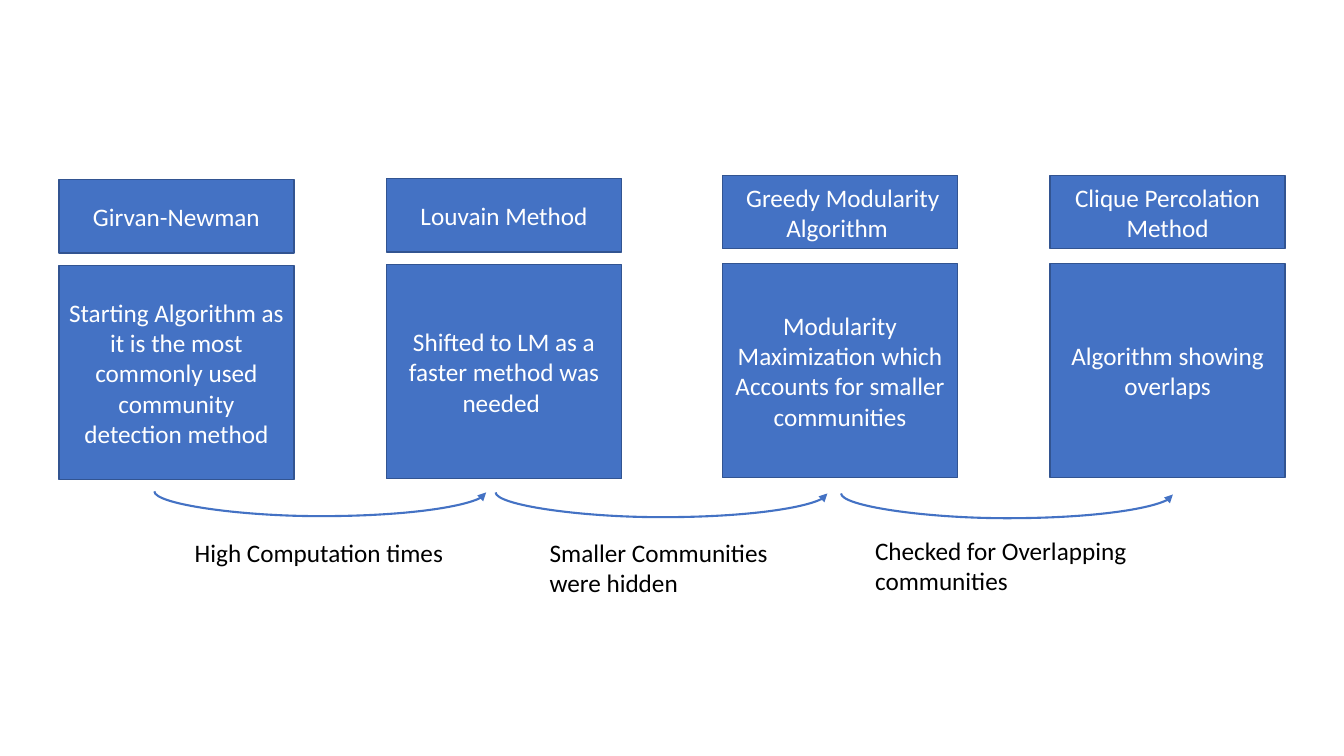
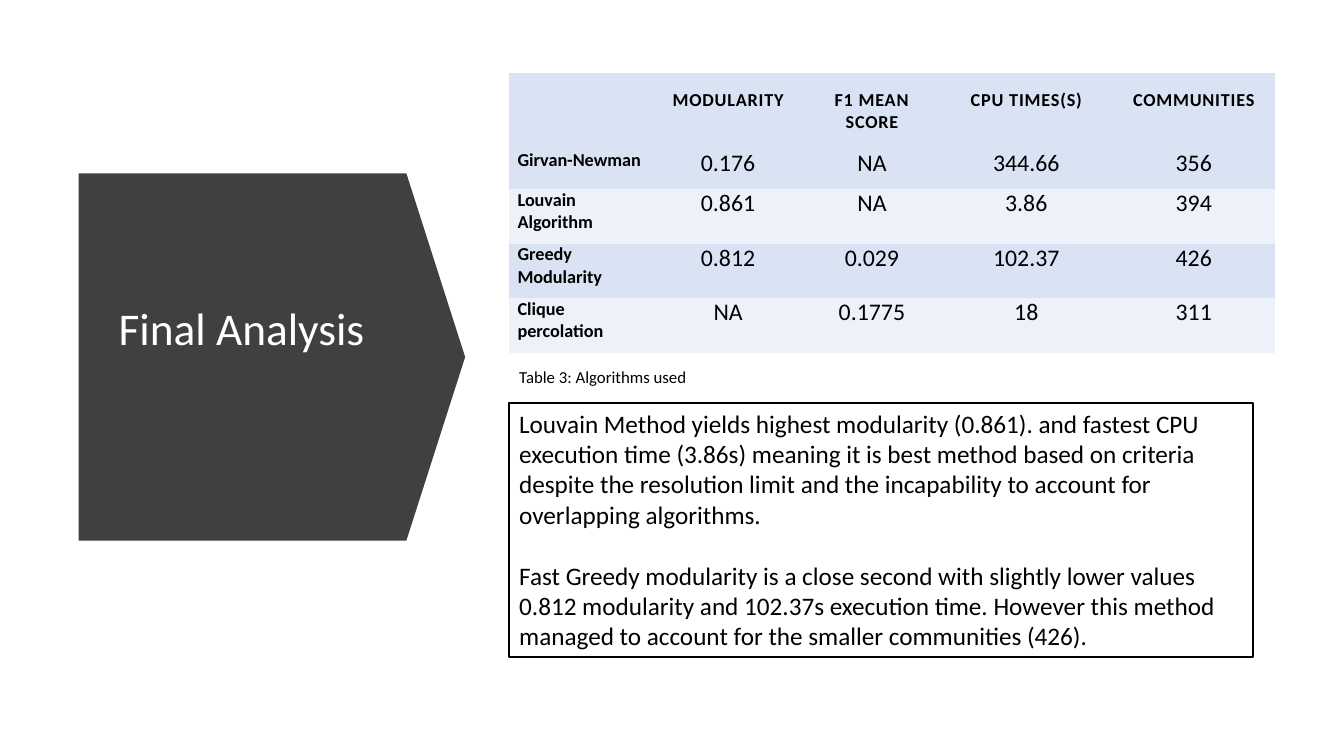
from dataclasses import dataclass

from lxml.etree import SubElement
from pptx import Presentation
from pptx.dml.color import RGBColor
from pptx.enum.shapes import MSO_CONNECTOR, MSO_SHAPE
from pptx.enum.text import MSO_ANCHOR as Anchor, PP_ALIGN as Align
from pptx.oxml.ns import qn
from pptx.util import Emu, Pt

# Shared look
FONT = "Calibri"
WHITE, BLACK, CHARCOAL = "FFFFFF", "000000", "404040"
BLUE, BLUE_EDGE = "4472C4", "325491"
BAND, PALE_BAND = "DAE3F3", "EDF1F9"
NO_TABLE_STYLE = "{2D5ABB26-0587-4C30-8999-92F81FD0307C}"
BODY_SIZE = 18


@dataclass
class Box:
    left: int
    top: int
    width: int
    height: int

    def emu(self) -> list[Emu]:
        return [px(v) for v in (self.left, self.top, self.width, self.height)]


@dataclass
class TextStyle:
    size: float = BODY_SIZE
    color: str = BLACK
    align: Align = Align.LEFT
    anchor: Anchor = Anchor.TOP
    bold: bool = False
    wrap: bool = True
    line_spacing: float = 1.0
    gap: int = 0


@dataclass
class Method:
    left: int
    name_top: int
    role_top: int
    name: str
    role: str


@dataclass
class Step:
    start: tuple[int, int]
    label: Box
    lines: list[str]


def px(value: int) -> Emu:
    return Emu(value * 9525)


def rgb(color: str) -> RGBColor:
    return RGBColor.from_string(color)


def write(frame, lines: list[str], style: TextStyle) -> None:
    frame.word_wrap = style.wrap
    frame.vertical_anchor = style.anchor
    for i, line in enumerate(lines):
        paragraph = frame.add_paragraph() if i else frame.paragraphs[0]
        paragraph.text = line
        paragraph.alignment = style.align
        paragraph.line_spacing = style.line_spacing
        paragraph.space_before = Pt(style.gap if i else 0)
        font = paragraph.font
        font.name, font.size, font.bold = FONT, Pt(style.size), style.bold
        font.color.rgb = rgb(style.color)


def add_text(slide, box: Box, lines: list[str], style: TextStyle) -> None:
    write(slide.shapes.add_textbox(*box.emu()).text_frame, lines, style)


def add_block(slide, box: Box, fill: str = "", edge: str = "",
              edge_width: float = 1, kind=MSO_SHAPE.RECTANGLE):
    block = slide.shapes.add_shape(kind, *box.emu())
    block.shadow.inherit = False
    if fill:
        block.fill.solid()
        block.fill.fore_color.rgb = rgb(fill)
    else:
        block.fill.background()
    if edge:
        block.line.color.rgb = rgb(edge)
        block.line.width = Pt(edge_width)
    else:
        block.line.fill.background()
    return block


def add_swoop(slide, start: tuple[int, int], run: int = 316, drop: int = 1,
              depth: int = 24) -> None:
    """Arrow that sags below its two ends: an upright curve turned a quarter."""
    x, y = start
    middle_x, middle_y = px(2 * x + run) // 2, px(2 * y + drop) // 2
    half_run, half_drop = px(run) // 2, px(drop) // 2
    swoop = slide.shapes.add_connector(
        MSO_CONNECTOR.CURVE, Emu(middle_x + half_drop), Emu(middle_y - half_run),
        Emu(middle_x - half_drop), Emu(middle_y + half_run))
    swoop.line.color.rgb = rgb(BLUE)
    swoop.line.width = Pt(1.5)
    properties = swoop._element.spPr
    properties.find(qn("a:xfrm")).set("rot", str(270 * 60000))
    guides = properties.find(qn("a:prstGeom")).get_or_add_avLst()
    SubElement(guides, qn("a:gd"), name="adj1", fmla=f"val {depth * 100000 // drop}")
    SubElement(properties.find(qn("a:ln")), qn("a:tailEnd"), type="triangle")
    SubElement(properties, qn("a:effectLst"))


# Slide 1: the chain of methods
METHODS = [
    Method(56, 171, 253, "Girvan-Newman",
           "Starting Algorithm as it is the most commonly used community "
           "detection method"),
    Method(368, 170, 252, "Louvain Method",
           "Shifted to LM as a faster method was needed "),
    Method(688, 167, 251, " Greedy Modularity Algorithm ",
           "Modularity Maximization which Accounts for smaller communities"),
    Method(1000, 167, 251, "Clique Percolation Method",
           "Algorithm showing overlaps"),
]
STEPS = [
    Step((147, 468), Box(176, 507, 259, 38), ["High Computation times"]),
    Step((472, 469), Box(514, 507, 235, 68), ["Smaller Communities", "were hidden"]),
    Step((801, 470), Box(824, 505, 267, 68),
         ["Checked for Overlapping", "communities"]),
]


def build_methods(slide) -> None:
    block_text = TextStyle(color=WHITE, align=Align.CENTER, anchor=Anchor.MIDDLE)
    for method in METHODS:
        for top, height, text in ((method.role_top, 204, method.role),
                                  (method.name_top, 70, method.name)):
            block = add_block(slide, Box(method.left, top, 224, height),
                              BLUE, BLUE_EDGE)
            write(block.text_frame, [text], block_text)
    for step in STEPS:
        add_swoop(slide, step.start)
        add_text(slide, step.label, step.lines, TextStyle(wrap=False))


# Slide 2: scores and conclusion
SCORES = [
    ["", "MODULARITY", "F1 MEAN SCORE", "CPU TIMES(S)", "COMMUNITIES"],
    ["Girvan-Newman", "0.176", "NA", "344.66", "356"],
    ["Louvain Algorithm", "0.861", "NA", "3.86", "394"],
    ["Greedy Modularity", "0.812", "0.029", "102.37", "426"],
    ["Clique percolation", "NA", "0.1775", "18", "311"],
]
COLUMN_WIDTHS = [136, 145, 129, 165, 154]
ROW_HEIGHTS = [72, 38, 52, 52, 52]
CONCLUSION = [
    "Louvain Method yields highest modularity (0.861). and fastest CPU execution "
    "time (3.86s) meaning it is best method based on criteria despite the "
    "resolution limit and the incapability to account for overlapping algorithms.",
    "Fast Greedy modularity is a close second with slightly lower values 0.812 "
    "modularity and 102.37s execution time. However this method managed to "
    "account for the smaller communities (426).",
]


def fill_cell(cell, text: str, row: int, column: int) -> None:
    heading = row == 0
    cell.fill.solid()
    cell.fill.fore_color.rgb = rgb(PALE_BAND if row in (2, 4) else BAND)
    margins = (15, 15, 15, 15) if heading else (8, 0, 8, 10)
    (cell.margin_left, cell.margin_top,
     cell.margin_right, cell.margin_bottom) = map(px, margins)
    label = heading or column == 0
    write(cell.text_frame, [text], TextStyle(
        size=13 if label else 17, bold=label,
        align=Align.CENTER if column else Align.LEFT))
    if heading:
        for run in cell.text_frame.paragraphs[0].runs:
            run._r.get_or_add_rPr().set("spc", "60")


def add_scores(slide, left: int, top: int) -> None:
    area = Box(left, top, sum(COLUMN_WIDTHS), sum(ROW_HEIGHTS))
    table = slide.shapes.add_table(len(SCORES), len(COLUMN_WIDTHS), *area.emu()).table
    table.horz_banding = False
    table._tbl.tblPr.find(qn("a:tableStyleId")).text = NO_TABLE_STYLE
    for column, width in zip(table.columns, COLUMN_WIDTHS):
        column.width = px(width)
    for r, (height, texts) in enumerate(zip(ROW_HEIGHTS, SCORES)):
        table.rows[r].height = px(height)
        for c, text in enumerate(texts):
            fill_cell(table.cell(r, c), text, r, c)


def build_analysis(slide) -> None:
    # Title on its pointing panel
    panel = add_block(slide, Box(84, 156, 350, 368), CHARCOAL,
                      kind=MSO_SHAPE.DOWN_ARROW)
    panel.adjustments[0], panel.adjustments[1] = 1, 0.16
    panel.rotation = 270
    add_text(slide, Box(92, 288, 276, 54), ["Final Analysis"], TextStyle(
        size=32.4, color=WHITE, align=Align.CENTER, anchor=Anchor.MIDDLE,
        line_spacing=0.9))

    # Table, caption and conclusion share a left edge
    left = 485
    add_scores(slide, left, 70)
    add_text(slide, Box(left, 340, 182, 38), ["Table 3: Algorithms used"],
             TextStyle(size=12, anchor=Anchor.MIDDLE, wrap=False))
    conclusion = add_block(slide, Box(left, 384, 708, 242), edge=BLACK, edge_width=1.5)
    write(conclusion.text_frame, CONCLUSION, TextStyle(gap=22))


def main() -> None:
    deck = Presentation()
    deck.slide_width, deck.slide_height = px(1280), px(720)
    blank = deck.slide_layouts[6]
    for build in (build_methods, build_analysis):
        build(deck.slides.add_slide(blank))
    deck.save("out.pptx")


if __name__ == "__main__":
    main()
